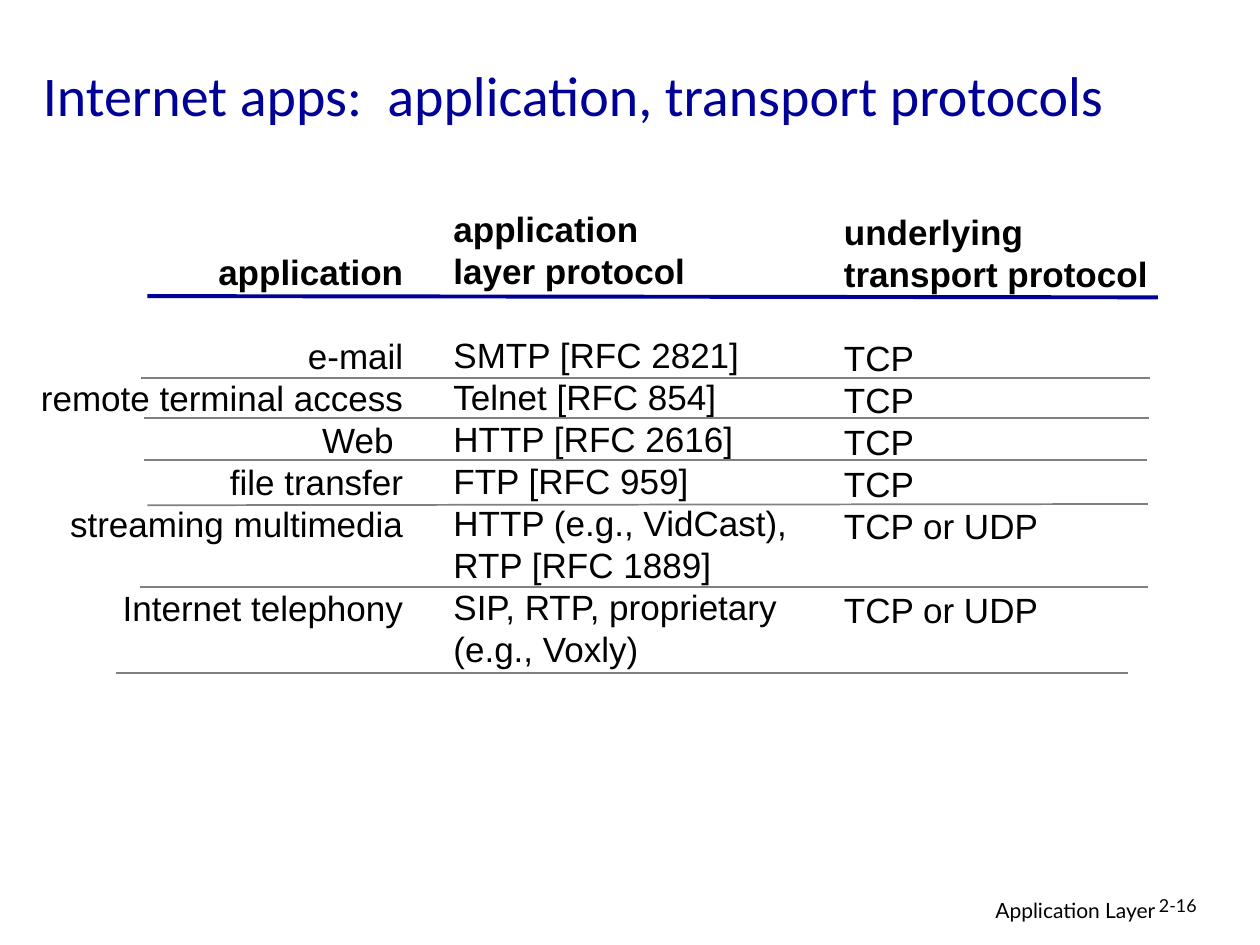
from dataclasses import dataclass

from lxml import etree
from pptx import Presentation
from pptx.dml.color import RGBColor
from pptx.enum.shapes import MSO_CONNECTOR
from pptx.enum.text import MSO_ANCHOR, MSO_AUTO_SIZE, PP_ALIGN
from pptx.oxml.ns import qn
from pptx.util import Inches, Pt

LEFT, RIGHT = PP_ALIGN.LEFT, PP_ALIGN.RIGHT
STRAIGHT = MSO_CONNECTOR.STRAIGHT
TITLE_ONLY = 5


@dataclass(frozen=True)
class Theme:
    accent: RGBColor = RGBColor(0x00, 0x00, 0x99)
    text: RGBColor = RGBColor(0x00, 0x00, 0x00)
    rule: RGBColor = RGBColor(0x80, 0x80, 0x80)
    title_font: str = "Calibri"
    table_font: str = "Arial"
    footer_font: str = "Lato"
    title_size: float = 32
    table_size: float = 20
    row_pitch: float = 24
    footer_size: float = 12
    number_size: float = 10.2


THEME = Theme()

# Each column: box (left, top, width, height), alignment, header lines, rows.
# None stands for a row that the column skips.
COLUMNS = [
    ((0.13, 1.94, 3.17, 3.44), RIGHT, ["application"],
     [None, "e-mail", "remote terminal access", "Web ", "file transfer",
      "streaming multimedia", None, "Internet telephony"]),
    ((3.5, 1.6, 3.09, 3.77), LEFT, ["application", "layer protocol"],
     [None, "SMTP [RFC 2821]", "Telnet [RFC 854]", "HTTP [RFC 2616]",
      "FTP [RFC 959]", "HTTP (e.g., VidCast),\vRTP [RFC 1889]",
      "SIP, RTP, proprietary", "(e.g., Voxly)"]),
    ((6.6, 1.62, 2.87, 3.44), LEFT, ["underlying", "transport protocol"],
     [None, "TCP", "TCP", "TCP", "TCP", "TCP or UDP", None, "TCP or UDP"]),
]

HEADER_RULE = (1.17, 2.35, 9.19, 2.36)
ROW_RULES = [
    (1.12, 3.0, 9.13, 3.0),
    (1.14, 3.32, 9.12, 3.32),
    (1.14, 3.65, 9.1, 3.65),
    (1.17, 4.01, 9.11, 4.0),
    (1.11, 4.66, 9.11, 4.66),
    (0.92, 5.34, 8.95, 5.34),
]


def style(p, font, size, color, align=LEFT, bold=False):
    p.alignment = align
    p.font.name = font
    p.font.size = Pt(size)
    p.font.bold = bold
    p.font.color.rgb = color


def add_text_frame(s, box):
    tf = s.shapes.add_textbox(*map(Inches, box)).text_frame
    tf.word_wrap = True
    return tf


def set_title(s, text):
    title = s.shapes.title
    title.left, title.top, title.width, title.height = map(
        Inches, (0.24, 0.29, 9.57, 0.92))
    tf = title.text_frame
    tf.text = text
    tf.auto_size = MSO_AUTO_SIZE.NONE
    tf.vertical_anchor = MSO_ANCHOR.MIDDLE
    style(tf.paragraphs[0], THEME.title_font, THEME.title_size, THEME.accent)


def add_column(s, box, align, header, rows):
    """Write header and rows; a skipped row becomes space before the next."""
    tf = add_text_frame(s, box)
    skipped = 0
    for i, text in enumerate(header + rows):
        if text is None:
            skipped += 1
            continue
        p = tf.add_paragraph() if i else tf.paragraphs[0]
        p.text = text
        p.line_spacing = Pt(THEME.row_pitch)
        p.space_before = Pt(skipped * THEME.row_pitch)
        style(p, THEME.table_font, THEME.table_size, THEME.text, align,
              bold=i < len(header))
        skipped = 0


def add_rule(s, ends, color, width):
    rule = s.shapes.add_connector(STRAIGHT, *map(Inches, ends))
    rule.line.color.rgb = color
    rule.line.width = Pt(width)
    etree.SubElement(rule._element.spPr, qn("a:effectLst"))


def add_footer(s, box, text, size, align=LEFT, spacing=1.0):
    p = add_text_frame(s, box).paragraphs[0]
    p.text = text
    p.line_spacing = spacing
    style(p, THEME.footer_font, size, THEME.text, align)


def main():
    prs = Presentation()
    prs.slide_width, prs.slide_height = Inches(10), Inches(7.5)
    s = prs.slides.add_slide(prs.slide_layouts[TITLE_ONLY])

    add_footer(s, (6.1, 7.07, 3.17, 0.31), "Application Layer",
               THEME.footer_size, RIGHT)
    add_footer(s, (9.1, 7.07, 0.74, 0.3), "2-16", THEME.number_size,
               spacing=0.9)
    set_title(s, "Internet apps:  application, transport protocols")
    for column in COLUMNS:
        add_column(s, *column)
    add_rule(s, HEADER_RULE, THEME.accent, 2.25)
    for ends in ROW_RULES:
        add_rule(s, ends, THEME.rule, 1)

    prs.save("out.pptx")


if __name__ == "__main__":
    main()
